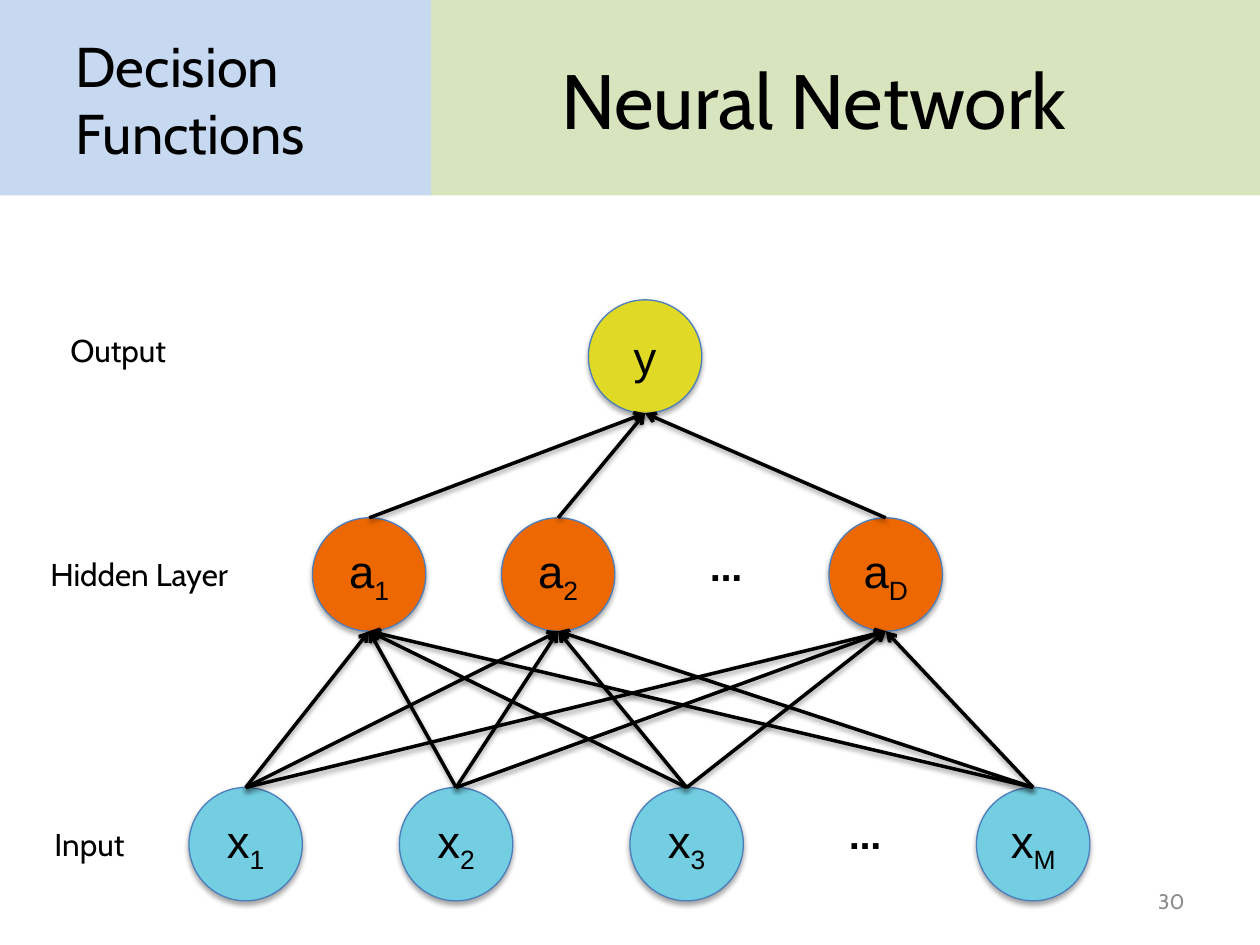
"""Build a slide that shows a neural network with one hidden layer."""
import dataclasses
import itertools

import pptx
import pptx.dml.color
import pptx.enum.shapes
import pptx.enum.text
import pptx.oxml
import pptx.oxml.ns
import pptx.util

COLORS = {
    "blue_panel": "C6D9F1", "green_panel": "D7E4BD", "text": "000000",
    "number": "8C8C8C", "outline": "4B7EBC", "input": "72CEE0",
    "hidden": "EE6802", "output": "E0D925",
}
COLUMNS, ROWS = 100, 75
NODE_SIZE = 9
SPLIT, BANNER_HEIGHT = 34.2, 15.5
ALIGN = pptx.enum.text.PP_ALIGN
ANCHOR = pptx.enum.text.MSO_ANCHOR
SHAPE = pptx.enum.shapes.MSO_SHAPE

presentation = pptx.Presentation()
presentation.slide_width = pptx.util.Inches(10)
presentation.slide_height = pptx.util.Inches(7.5)
slide = presentation.slides.add_slide(presentation.slide_layouts[1])


@dataclasses.dataclass(frozen=True)
class Box:
    """A rectangle in grid columns and rows."""
    left: float
    top: float
    width: float
    height: float

    def lengths(self) -> tuple[int, int, int, int]:
        """Return the rectangle in slide units."""
        return (across(self.left), down(self.top),
                across(self.width), down(self.height))


@dataclasses.dataclass(frozen=True)
class Layer:
    """One row of network nodes."""
    color: str
    letter: str
    top: float
    nodes: dict[str, float]


@dataclasses.dataclass(frozen=True)
class Label:
    """A free text and its format."""
    text: str
    box: Box
    size: float = 18
    color: str = "text"
    bold: bool = False
    wrap: bool = True
    align: ALIGN = ALIGN.CENTER
    anchor: ANCHOR = ANCHOR.TOP


LAYERS = [
    Layer("input", "x", 62.5, {"1": 15, "2": 31.7, "3": 50, "M": 77.5}),
    Layer("hidden", "a", 41.1, {"1": 24.8, "2": 39.8, "D": 65.8}),
    Layer("output", "y", 23.8, {"": 46.7}),
]
LABELS = [
    Label("Output", Box(4.6, 25.8, 14.2, 4), align=ALIGN.LEFT),
    Label("Hidden Layer", Box(-0.2, 43.6, 22.5, 4)),
    Label("Input", Box(0, 65, 14.2, 4)),
    Label("…", Box(54.8, 42, 5.8, 5.4), 26, bold=True, wrap=False, anchor=ANCHOR.MIDDLE),
    Label("…", Box(65.8, 63.3, 5.8, 5.4), 26, bold=True, wrap=False, anchor=ANCHOR.MIDDLE),
    Label("30", Box(71.7, 69.5, 23.3, 4), 12, "number", align=ALIGN.RIGHT,
          anchor=ANCHOR.MIDDLE),
]


def across(columns: float) -> int:
    """Convert grid columns to a length."""
    return round(presentation.slide_width * columns / COLUMNS)


def down(rows: float) -> int:
    """Convert grid rows to a length."""
    return round(presentation.slide_height * rows / ROWS)


def rgb(name: str) -> pptx.dml.color.RGBColor:
    """Look up a named colour."""
    return pptx.dml.color.RGBColor.from_string(COLORS[name])


def write(shape, text: str, *, size: float, subscript: str = "", font: str = "Cabin",
          color: str = "text", bold: bool = False, wrap: bool = True,
          align: ALIGN = ALIGN.LEFT, anchor: ANCHOR = ANCHOR.MIDDLE) -> None:
    """Put one formatted paragraph into a shape."""
    frame = shape.text_frame
    frame.auto_size = pptx.enum.text.MSO_AUTO_SIZE.NONE
    frame.word_wrap = wrap
    frame.vertical_anchor = anchor
    paragraph = frame.paragraphs[0]
    paragraph.alignment = align
    paragraph.space_before = pptx.util.Pt(0)
    for part in filter(None, (text, subscript)):
        run = paragraph.add_run()
        run.text = part
        run.font.name = font
        run.font.size = pptx.util.Pt(size)
        run.font.bold = bold
        run.font.color.rgb = rgb(color)
    if subscript:
        run.font._element.set("baseline", "-25000")


def add_shadow(shape, opacity: int, distance: float) -> None:
    """Give a shape a soft shadow that falls straight down."""
    shape._element.spPr.append(pptx.oxml.parse_xml(
        f'<a:effectLst {pptx.oxml.ns.nsdecls("a")}>'
        f'<a:outerShdw blurRad="{pptx.util.Pt(3.1)}" dist="{pptx.util.Pt(distance)}" '
        'dir="5400000" rotWithShape="0"><a:srgbClr val="000000">'
        f'<a:alpha val="{opacity * 1000}"/></a:srgbClr></a:outerShdw></a:effectLst>'))


def add_panel(box: Box, color: str) -> None:
    """Draw a banner panel behind everything else."""
    panel = slide.shapes.add_shape(SHAPE.RECTANGLE, *box.lengths())
    panel.shadow.inherit = False
    panel.fill.solid()
    panel.fill.fore_color.rgb = rgb(color)
    panel.line.fill.background()
    panel._element.getparent().insert(2, panel._element)


def place(placeholder, box: Box) -> None:
    """Move a placeholder to a grid rectangle."""
    (placeholder.left, placeholder.top,
     placeholder.width, placeholder.height) = box.lengths()


def add_node(layer: Layer, subscript: str, left: float) -> None:
    """Draw one network node."""
    box = Box(left, layer.top, NODE_SIZE, NODE_SIZE)
    node = slide.shapes.add_shape(SHAPE.FLOWCHART_CONNECTOR, *box.lengths())
    node.fill.solid()
    node.fill.fore_color.rgb = rgb(layer.color)
    node.line.color.rgb = rgb("outline")
    node.line.width = pptx.util.Pt(0.75)
    add_shadow(node, 35, 1.8)
    write(node, layer.letter, subscript=subscript, size=26, font="Arial",
          wrap=False, align=ALIGN.CENTER)


def add_arrow(upper: Layer, upper_left: float, lower: Layer, lower_left: float) -> None:
    """Link two nodes with the arrowhead at the upper one."""
    middle = NODE_SIZE / 2
    arrow = slide.shapes.add_connector(
        pptx.enum.shapes.MSO_CONNECTOR.STRAIGHT,
        across(upper_left + middle), down(upper.top + NODE_SIZE),
        across(lower_left + middle), down(lower.top))
    arrow.line.color.rgb = rgb("text")
    arrow.line.width = pptx.util.Pt(2)
    arrow.line._get_or_add_ln().append(pptx.oxml.parse_xml(
        f'<a:headEnd {pptx.oxml.ns.nsdecls("a")} type="arrow"/>'))
    add_shadow(arrow, 38, 1.6)


def add_label(label: Label) -> None:
    """Draw a free text."""
    write(slide.shapes.add_textbox(*label.box.lengths()), label.text, size=label.size,
          color=label.color, bold=label.bold, wrap=label.wrap,
          align=label.align, anchor=label.anchor)


def main() -> None:
    """Draw the slide and save it."""
    add_panel(Box(0, 0, SPLIT, BANNER_HEIGHT), "blue_panel")
    add_panel(Box(SPLIT, 0, COLUMNS - SPLIT, BANNER_HEIGHT), "green_panel")
    title, topic = slide.shapes.title, slide.placeholders[1]
    place(title, Box(SPLIT, 1.6, 60.8, 12.5))
    write(title, "Neural Network", size=44, align=ALIGN.CENTER)
    place(topic, Box(5, 1.6, 29.2, 12.5))
    properties = topic.text_frame.paragraphs[0]._p.get_or_add_pPr()
    properties.set("marL", "0")
    properties.set("indent", "0")
    properties.append(pptx.oxml.parse_xml(f'<a:buNone {pptx.oxml.ns.nsdecls("a")}/>'))
    write(topic, "Decision Functions", size=32)
    for layer in LAYERS:
        for subscript, left in layer.nodes.items():
            add_node(layer, subscript, left)
    for lower, upper in itertools.pairwise(LAYERS):
        for start, end in itertools.product(upper.nodes.values(), lower.nodes.values()):
            add_arrow(upper, start, lower, end)
    for label in LABELS:
        add_label(label)
    presentation.save("out.pptx")


if __name__ == "__main__":
    main()
